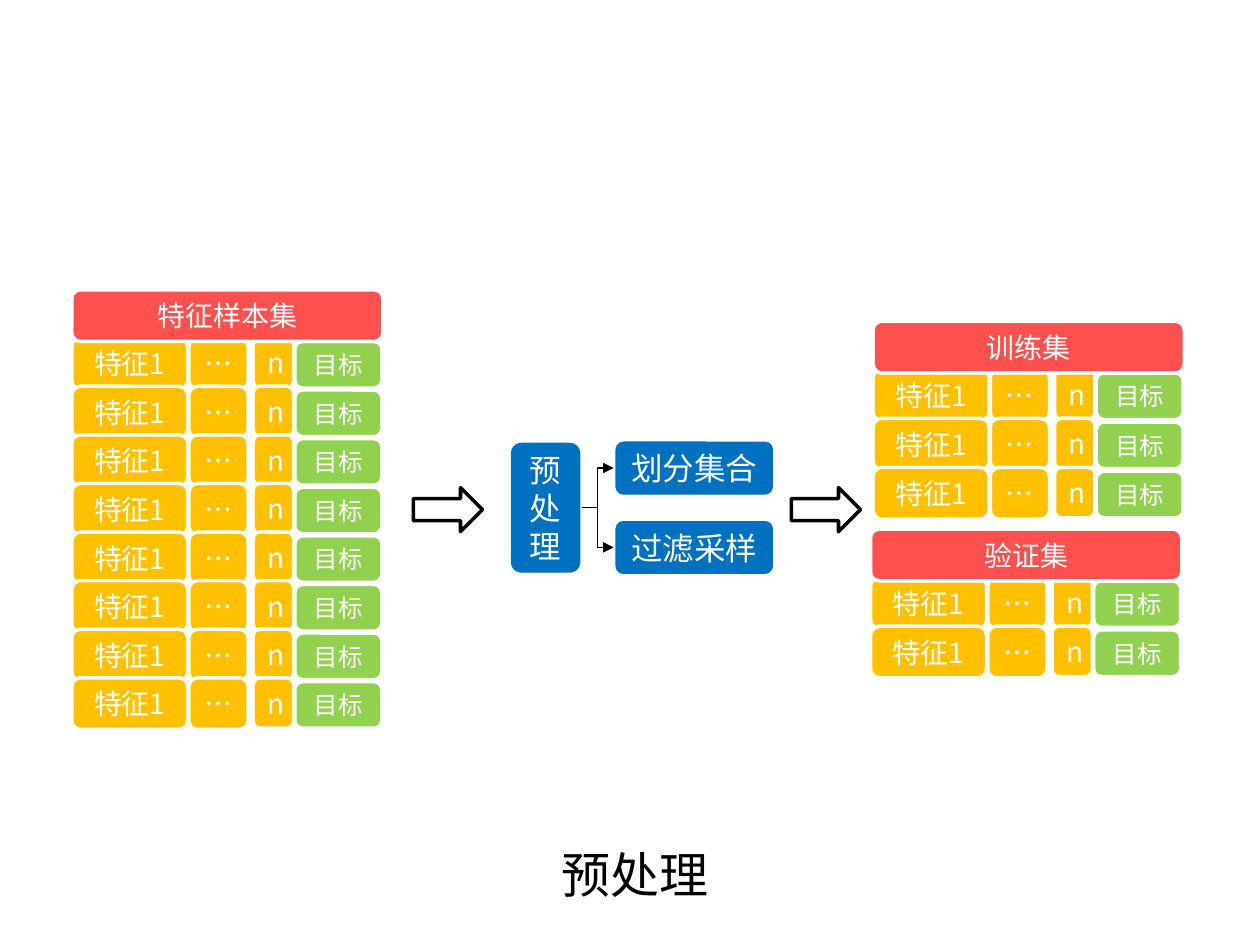
from lxml import etree
from pptx import Presentation
from pptx.dml.color import RGBColor
from pptx.enum.shapes import MSO_CONNECTOR, MSO_SHAPE
from pptx.enum.text import MSO_ANCHOR, MSO_AUTO_SIZE, PP_ALIGN
from pptx.oxml.ns import qn
from pptx.util import Inches, Pt

ROUNDED = MSO_SHAPE.ROUNDED_RECTANGLE
RIGHT_ARROW = MSO_SHAPE.RIGHT_ARROW
ELBOW = MSO_CONNECTOR.ELBOW
LEFT_SIDE, RIGHT_SIDE = 1, 3

FONT = "Noto Sans CJK SC"
WHITE, BLACK = "FFFFFF", "000000"
RED, YELLOW, GREEN, BLUE = "FF5050", "FFC000", "92D050", "0070C0"

TITLE = ("预处理", (4.35, 6.65, 1.38, 0.57))

# Heading, left, top, top of the last row, number of rows
SAMPLE_SETS = [
    ("特征样本集", 0.57, 2.30, 5.38, 8),
    ("训练集", 6.93, 2.55, 3.71, 3),
    ("验证集", 6.91, 4.20, 4.97, 2),
]
HEADER_SIZE = (2.47, 0.41)
FIRST_ROW_OFFSET = 0.38

# Text, offset from the row's left and top, width, height, fill, font size
ROW_CELLS = [
    ("特征1", 0, 0, 0.92, 0.41, YELLOW, 16),
    ("…", 0.93, 0, 0.47, 0.41, YELLOW, 16),
    ("n", 1.44, 0, 0.32, 0.40, YELLOW, 16),
    ("目标", 1.77, 0.03, 0.69, 0.37, GREEN, 14),
]

PROCESS = ("预处理", (4.04, 3.50, 0.58, 1.06))
STEPS = [
    ("划分集合", (4.87, 3.49, 1.28, 0.45)),
    ("过滤采样", (4.87, 4.12, 1.28, 0.45)),
]
FLOW_ARROWS = [(3.28, 3.87, 0.55, 0.35), (6.28, 3.87, 0.55, 0.35)]


def rgb(value):
    return RGBColor.from_string(value)


def write_text(shape, text, size, color):
    """Fill a shape with one centred line of text in the slide's font."""
    frame = shape.text_frame
    frame.vertical_anchor = MSO_ANCHOR.MIDDLE
    paragraph = frame.paragraphs[0]
    paragraph.text = text
    paragraph.alignment = PP_ALIGN.CENTER
    font = paragraph.font
    font.size = Pt(size)
    font.name = FONT
    font.color.rgb = rgb(color)
    defaults = paragraph._p.pPr.find(qn("a:defRPr"))
    etree.SubElement(defaults, qn("a:ea")).set("typeface", FONT)


def add_filled_shape(slide, kind, box, fill, line):
    shape = slide.shapes.add_shape(kind, *map(Inches, box))
    shape.shadow.inherit = False
    shape.fill.solid()
    shape.fill.fore_color.rgb = rgb(fill)
    shape.line.color.rgb = rgb(line)
    shape.line.width = Pt(2)
    return shape


def add_label(slide, text, box, fill, size):
    shape = add_filled_shape(slide, ROUNDED, box, fill, WHITE)
    shape.text_frame.word_wrap = True
    write_text(shape, text, size, WHITE)
    return shape


def add_sample_set(slide, heading, left, top, last_row_top, row_count):
    first_row_top = top + FIRST_ROW_OFFSET
    pitch = (last_row_top - first_row_top) / (row_count - 1)
    for row in range(row_count):
        row_top = first_row_top + row * pitch
        for text, dx, dy, width, height, fill, size in ROW_CELLS:
            box = (left + dx, row_top + dy, width, height)
            add_label(slide, text, box, fill, size)
    add_label(slide, heading, (left, top, *HEADER_SIZE), RED, 16)


def join_with_arrow(slide, source, target):
    connector = slide.shapes.add_connector(ELBOW, 0, 0, 0, 0)
    connector.begin_connect(source, RIGHT_SIDE)
    connector.end_connect(target, LEFT_SIDE)
    connector.line.color.rgb = rgb(BLACK)
    connector.line.width = Pt(0.75)
    etree.SubElement(connector.line._get_or_add_ln(), qn("a:tailEnd")).set("type", "triangle")
    etree.SubElement(connector._element.spPr, qn("a:effectLst"))


def place_title(slide):
    text, box = TITLE
    title = slide.shapes.title
    title.left, title.top, title.width, title.height = map(Inches, box)
    title.text_frame.word_wrap = False
    title.text_frame.auto_size = MSO_AUTO_SIZE.NONE
    write_text(title, text, 28, BLACK)


def main():
    presentation = Presentation()
    presentation.slide_width = Inches(10)
    presentation.slide_height = Inches(7.5)
    slide = presentation.slides.add_slide(presentation.slide_layouts[5])

    place_title(slide)
    for sample_set in SAMPLE_SETS:
        add_sample_set(slide, *sample_set)
    for box in FLOW_ARROWS:
        add_filled_shape(slide, RIGHT_ARROW, box, WHITE, BLACK)

    process = add_label(slide, *PROCESS, BLUE, 18)
    for text, box in STEPS:
        step = add_label(slide, text, box, BLUE, 18)
        join_with_arrow(slide, process, step)

    presentation.save("out.pptx")


if __name__ == "__main__":
    main()
